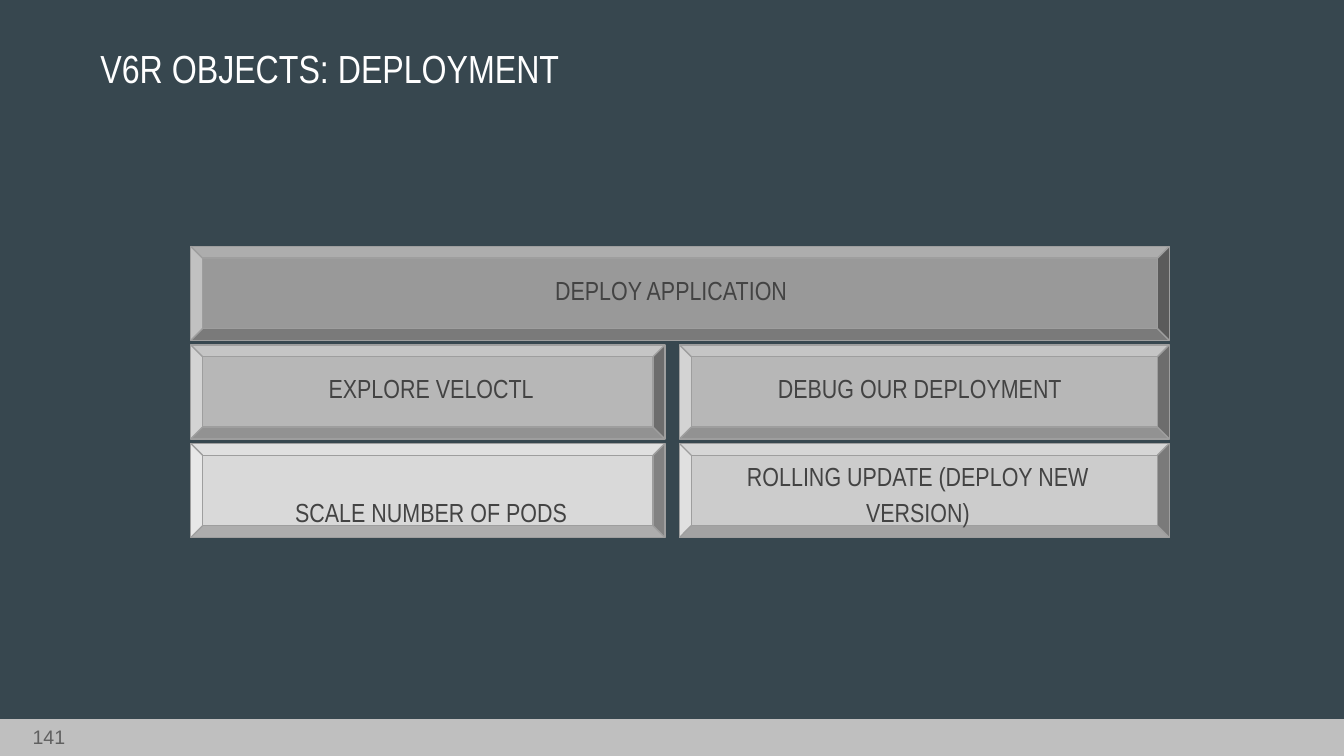
from pptx import Presentation
from pptx.dml.color import RGBColor
from pptx.enum import shapes, text
from pptx.util import Pt

HEX = {"back": "37474F", "bar": "BFBFBF", "page": "606060", "title": "FFFFFF",
       "label": "434343", "edge": "9E9E9E", "dark": "999999", "mid": "B7B7B7",
       "soft": "CCCCCC", "pale": "D9D9D9"}
ALIGN = text.PP_ALIGN
ANCHOR = text.MSO_ANCHOR
WIDE, HIGH = 720, 405


def color(name):
    return RGBColor.from_string(HEX[name])


def put(shape, box):
    shape.left, shape.top, shape.width, shape.height = map(Pt, box)


def write(shape, words, size, tint, font="Arial Narrow", align=ALIGN.CENTER,
          anchor=ANCHOR.MIDDLE, inset=7.2, line=1.0, gap=0):
    frame = shape.text_frame
    frame.word_wrap = True
    frame.auto_size = text.MSO_AUTO_SIZE.NONE
    frame.vertical_anchor = anchor
    frame.margin_left = frame.margin_right = Pt(7.2)
    frame.margin_top = frame.margin_bottom = Pt(inset)
    para = frame.paragraphs[0]
    para.alignment = align
    para.line_spacing = line
    para.space_before = para.space_after = Pt(gap)
    run = para.add_run()
    run.text = words
    run.font.name = font
    run.font.size = Pt(size)
    run.font.bold = False
    run.font.color.rgb = color(tint)


def solid(slide, kind, box, fill, edge=None):
    shape = slide.shapes.add_shape(kind, *map(Pt, box))
    shape.shadow.inherit = False
    shape.fill.solid()
    shape.fill.fore_color.rgb = color(fill)
    if edge:
        shape.line.color.rgb = color(edge)
        shape.line.width = Pt(0.75)
    else:
        shape.line.fill.background()
    return shape


def footer(slide, box, number):
    x, y, w, h = box
    solid(slide, shapes.MSO_SHAPE.RECTANGLE, box, "bar")
    page = slide.shapes.add_textbox(Pt(x - 7), Pt(y - 0.5), Pt(49), Pt(h))
    write(page, number, 10.5, "page", font="Arial", align=ALIGN.RIGHT,
          anchor=ANCHOR.TOP, inset=3.6)


def header(slide, box, words):
    title = slide.shapes.title
    put(title, box)
    write(title, words, 21, "title", align=ALIGN.LEFT, line=1.15)


def block(slide, box, words, fill, label, line=1.0):
    """Bevel with a caption; label is the caption's box within the bevel."""
    x, y, w, h = box
    bevel = solid(slide, shapes.MSO_SHAPE.BEVEL, box, fill, "edge")
    bevel.adjustments[0] = 0.125
    dx, dy, lw, lh = label
    note = slide.shapes.add_textbox(Pt(x + dx), Pt(y + dy), Pt(lw), Pt(lh))
    write(note, words, 14, "label", line=line, gap=8)


def wall(slide, box):
    """One full-width block above two rows of two."""
    x, y, w, h = box
    tall, left, gap = 50.4, 254, 7.8
    step = (h - tall) / 2
    cols = [(x, left), (x + left + gap, w - left - gap)]
    plain = (12.2, 10.4, 233.3, 25.9)
    block(slide, (x, y, w, tall), "DEPLOY APPLICATION", "dark",
          (12.2, 10.3, 490.3, 25.9))
    cells = [
        (1, 0, "EXPLORE VELOCTL", "mid", plain, 1.0),
        (1, 1, "DEBUG OUR DEPLOYMENT", "mid", plain, 1.0),
        (2, 0, "SCALE NUMBER OF PODS", "pale", (12.2, 18, 233.3, 25.9), 1.71),
        (2, 1, "ROLLING UPDATE (DEPLOY NEW VERSION)", "soft",
         (10.1, 7.9, 235.4, 36), 1.15),
    ]
    for row, col, words, fill, label, line in cells:
        left, wide = cols[col]
        block(slide, (left, y + row * step, wide, tall), words, fill, label, line)


def main():
    deck = Presentation()
    deck.slide_width, deck.slide_height = Pt(WIDE), Pt(HIGH)
    slide = deck.slides.add_slide(deck.slide_layouts[5])
    slide.background.fill.solid()
    slide.background.fill.fore_color.rgb = color("back")
    footer(slide, (0, 385.2, WIDE, HIGH - 385.2), "141")
    header(slide, (46.6, 14.4, 335.5, 40.3), "V6R OBJECTS: DEPLOYMENT")
    wall(slide, (102.2, 132, 524.2, 156))
    deck.save("out.pptx")


if __name__ == "__main__":
    main()
